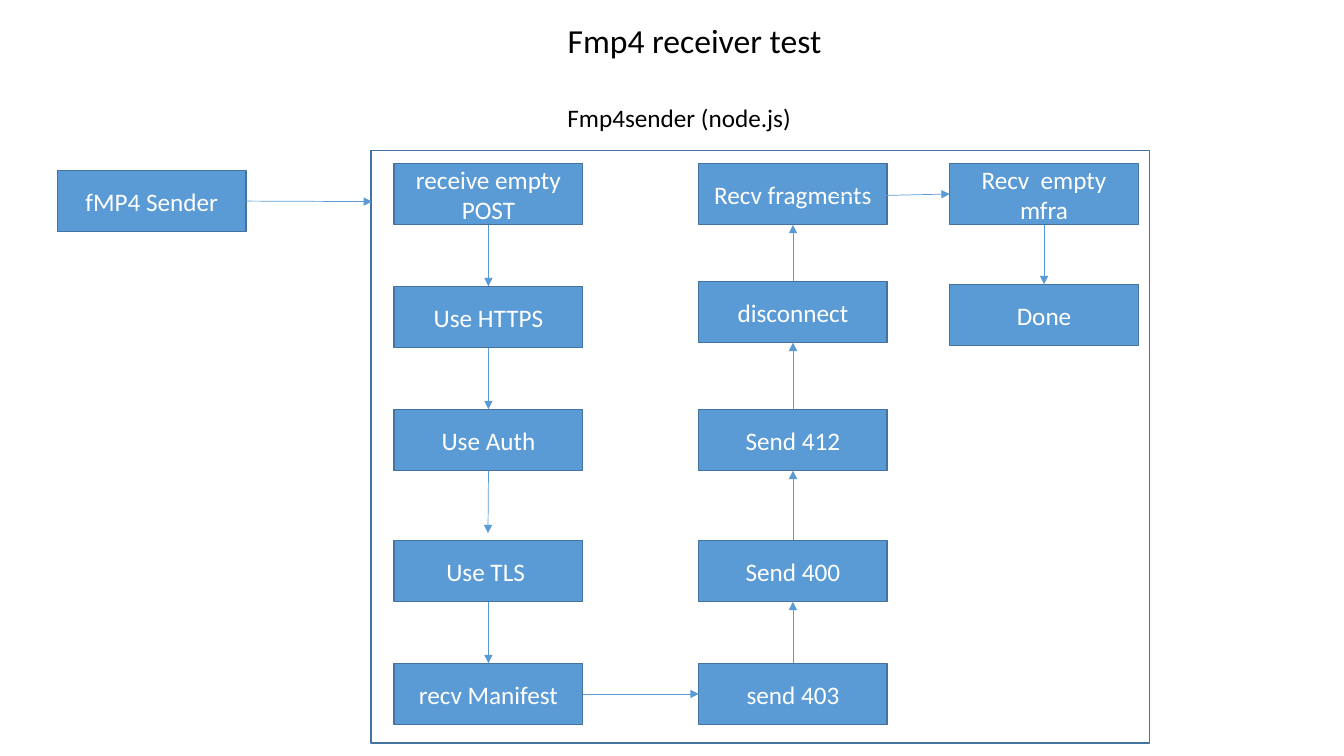
from lxml import etree
from pptx import Presentation
from pptx.dml.color import RGBColor
from pptx.enum.shapes import MSO_CONNECTOR, MSO_SHAPE
from pptx.enum.text import MSO_ANCHOR, MSO_AUTO_SIZE, PP_ALIGN
from pptx.oxml.ns import qn
from pptx.util import Inches, Pt

RECTANGLE = MSO_SHAPE.RECTANGLE
STRAIGHT = MSO_CONNECTOR.STRAIGHT
LEFT, CENTER = PP_ALIGN.LEFT, PP_ALIGN.CENTER
TOP_ANCHOR, MIDDLE_ANCHOR = MSO_ANCHOR.TOP, MSO_ANCHOR.MIDDLE
NO_AUTO_SIZE = MSO_AUTO_SIZE.NONE
TOP, LEFT_SIDE, BOTTOM, RIGHT_SIDE = range(4)

COLORS = {"box": "5B9BD5", "outline": "43739E", "light": "FFFFFF", "dark": "000000"}
COLUMNS = [0.57, 3.91, 6.93, 9.42]
ROWS = [1.62, 2.84, 4.06, 5.36, 6.58]
BOX_WIDTH, BOX_HEIGHT = 1.87, 0.61


def color(name):
    return RGBColor.from_string(COLORS[name])


def write_text(shape, text, size=18, fill="dark", align=LEFT, anchor=TOP_ANCHOR):
    """Put each line of text in its own formatted paragraph."""
    frame = shape.text_frame
    frame.text = text
    frame.word_wrap = True
    frame.auto_size = NO_AUTO_SIZE
    frame.vertical_anchor = anchor
    for paragraph in frame.paragraphs:
        paragraph.alignment = align
        font = paragraph.runs[0].font
        font.name = "Calibri"
        font.size = Pt(size)
        font.color.rgb = color(fill)


class FlowSlide:
    def __init__(self, presentation):
        title_only = presentation.slide_layouts[5]
        self.slide = presentation.slides.add_slide(title_only)
        self.shapes = self.slide.shapes

    def title(self, text, left, top, width, height):
        title = self.shapes.title
        title.left, title.top = Inches(left), Inches(top)
        title.width, title.height = Inches(width), Inches(height)
        write_text(title, text, size=24)

    def label(self, text, left, top, width, height):
        label = self.shapes.add_textbox(*map(Inches, (left, top, width, height)))
        write_text(label, text)

    def rectangle(self, left, top, width, height, fill=None):
        shape = self.shapes.add_shape(RECTANGLE, *map(Inches, (left, top, width, height)))
        shape.shadow.inherit = False
        shape.line.color.rgb = color("outline")
        shape.line.width = Pt(1)
        if fill:
            shape.fill.solid()
            shape.fill.fore_color.rgb = color(fill)
        else:
            shape.fill.background()
        return shape

    def box(self, text, column, row, nudge=0):
        """Add a step on the grid, shifted down by nudge inches."""
        shape = self.rectangle(COLUMNS[column], ROWS[row] + nudge, BOX_WIDTH, BOX_HEIGHT, "box")
        write_text(shape, text, fill="light", align=CENTER, anchor=MIDDLE_ANCHOR)
        return shape

    def arrow(self, start, end):
        """Join two ends, each a (shape, side) pair or an (x, y) point in inches."""
        connector = self.shapes.add_connector(STRAIGHT, 0, 0, 0, 0)
        if isinstance(start[0], float):
            connector.begin_x, connector.begin_y = map(Inches, start)
        else:
            connector.begin_connect(*start)
        if isinstance(end[0], float):
            connector.end_x, connector.end_y = map(Inches, end)
        else:
            connector.end_connect(*end)
        connector.line.color.rgb = color("box")
        connector.line.width = Pt(0.5)
        line = connector.line._get_or_add_ln()
        etree.SubElement(line, qn("a:tailEnd"), type="triangle")
        etree.SubElement(connector._element.spPr, qn("a:effectLst"))


def main():
    presentation = Presentation()
    presentation.slide_width = Inches(13.33)
    presentation.slide_height = Inches(7.5)
    flow = FlowSlide(presentation)

    flow.title("Fmp4 receiver test", 5.53, 0.15, 2.9, 0.5)
    flow.label("Fmp4sender (node.js)", 5.53, 0.97, 3.53, 0.4)
    flow.rectangle(3.68, 1.49, 7.72, 5.88)

    sender = flow.box("fMP4 Sender", 0, 0, nudge=0.07)
    setup_texts = ["receive empty\nPOST", "Use HTTPS", "Use Auth", "Use TLS ", "recv Manifest"]
    setup = [flow.box(text, 1, row) for row, text in enumerate(setup_texts)]
    fragments = flow.box("Recv fragments", 2, 0)
    disconnect = flow.box("disconnect", 2, 1, nudge=-0.05)
    send_texts = ["Send 412", "Send 400", "send 403"]
    sends = [flow.box(text, 2, row) for row, text in enumerate(send_texts, 2)]
    responses = [fragments, disconnect, *sends]
    empty_mfra = flow.box("Recv  empty mfra", 3, 0)
    done = flow.box("Done", 3, 1, nudge=-0.02)

    flow.arrow((sender, RIGHT_SIDE), (3.69, 2.0))
    auth, tls = setup[2:4]
    for upper, lower in zip(setup, setup[1:]):
        if upper is not auth:
            flow.arrow((upper, BOTTOM), (lower, TOP))
    flow.arrow((auth, BOTTOM), (4.84, 5.29))
    flow.arrow((setup[-1], RIGHT_SIDE), (responses[-1], LEFT_SIDE))
    for upper, lower in zip(responses, responses[1:]):
        flow.arrow((lower, TOP), (upper, BOTTOM))
    flow.arrow((8.27, 1.95), (empty_mfra, LEFT_SIDE))
    flow.arrow((empty_mfra, BOTTOM), (done, TOP))

    presentation.save("out.pptx")


if __name__ == "__main__":
    main()
